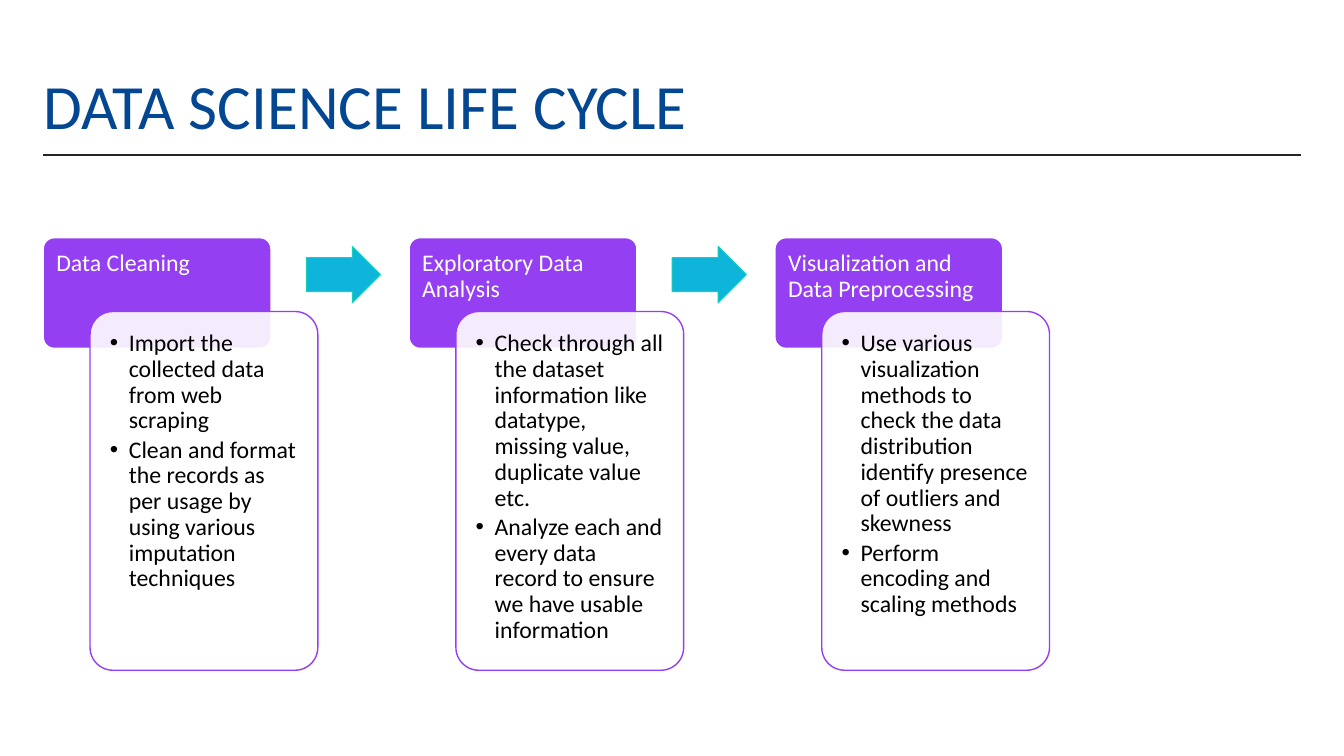
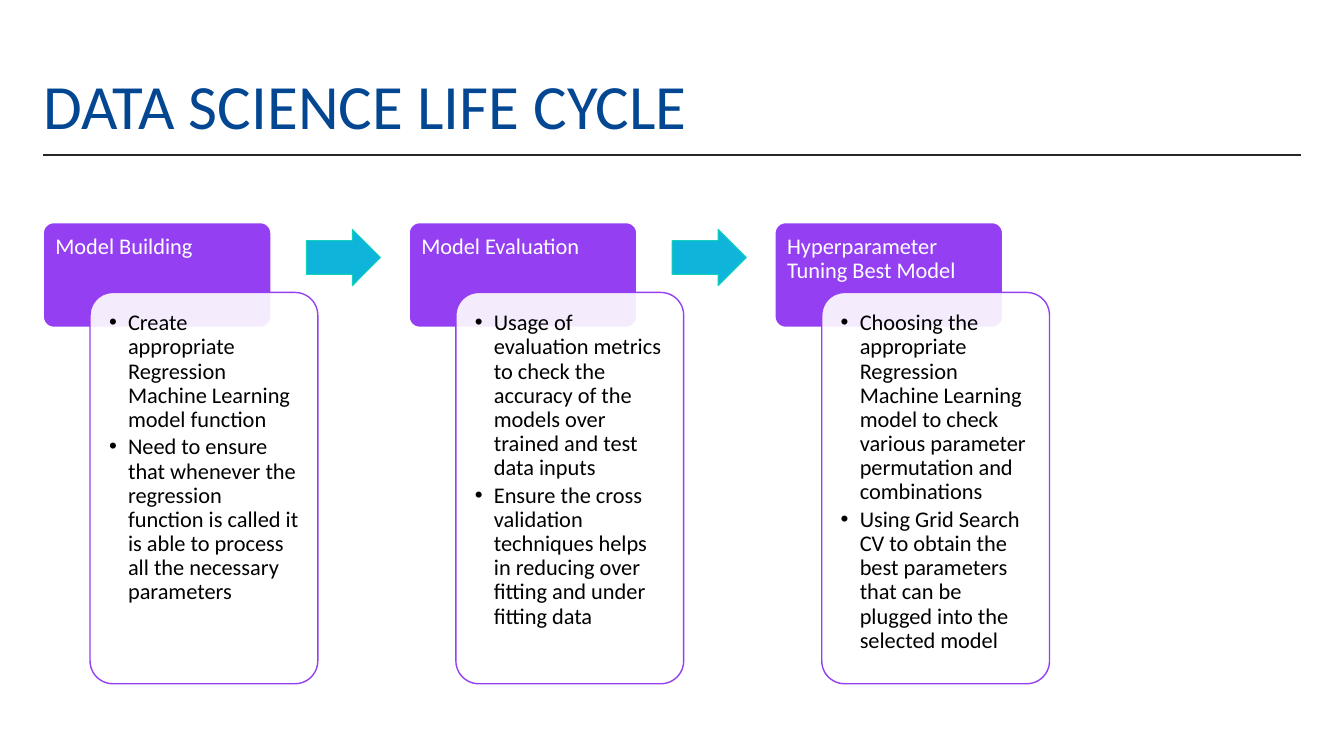
from lxml import etree
from pptx import Presentation
from pptx.dml.color import RGBColor
from pptx.enum.shapes import MSO_CONNECTOR, MSO_SHAPE
from pptx.enum.text import MSO_ANCHOR, PP_ALIGN
from pptx.oxml.ns import qn
from pptx.util import Cm, Pt

ROUNDED, ARROW = MSO_SHAPE.ROUNDED_RECTANGLE, MSO_SHAPE.RIGHT_ARROW
STRAIGHT = MSO_CONNECTOR.STRAIGHT
TOP, BOTTOM = MSO_ANCHOR.TOP, MSO_ANCHOR.BOTTOM
LEFT = PP_ALIGN.LEFT

WHITE = RGBColor(0xFF, 0xFF, 0xFF)
BLACK = RGBColor(0x00, 0x00, 0x00)
NAVY = RGBColor(0x03, 0x47, 0x93)
CHARCOAL = RGBColor(0x26, 0x26, 0x26)
PURPLE = RGBColor(0x95, 0x3F, 0xF3)
CYAN = RGBColor(0x0F, 0xB4, 0xDB)
TEAL = RGBColor(0x15, 0xD1, 0xBB)

FONT = "Calibri"
TITLE = "DATA SCIENCE LIFE CYCLE"

# Layout in centimetres
SLIDE_WIDTH, SLIDE_HEIGHT = 33.87, 19.05
MARGIN = 1.09
CONTENT_WIDTH = SLIDE_WIDTH - 2 * MARGIN
RULE_TOP = 3.91
STEP_PITCH, STEP_WIDTH = 9.22, 5.74
CARD_SHIFT, ARROW_SHIFT = 1.18, 6.63
ARROW_WIDTH, ARROW_HEIGHT = 1.87, 1.42
BULLET_INDENT = 0.48

SLIDES = [
    {
        "top": 5.99, "header_height": 2.79, "card_height": 9.04,
        "size": 17, "inset": 0.33,
        "steps": [
            ("Data Cleaning", [
                "Import the collected data from web scraping",
                "Clean and format the records as per usage by using various "
                "imputation techniques"]),
            ("Exploratory Data Analysis", [
                "Check through all the dataset information like datatype, "
                "missing value, duplicate value etc.",
                "Analyze each and every data record to ensure we have usable "
                "information"]),
            ("Visualization and Data Preprocessing", [
                "Use various visualization methods to check the data "
                "distribution identify presence of outliers and skewness",
                "Perform encoding and scaling methods"]),
        ],
    },
    {
        "top": 5.61, "header_height": 2.64, "card_height": 9.86,
        "size": 16, "inset": 0.31,
        "steps": [
            ("Model Building", [
                "Create appropriate Regression Machine Learning model function",
                "Need to ensure that whenever the regression function is called "
                "it is able to process all the necessary parameters"]),
            ("Model Evaluation", [
                "Usage of evaluation metrics to check the accuracy of the models "
                "over trained and test data inputs",
                "Ensure the cross validation techniques helps in reducing over "
                "fitting and under fitting data"]),
            ("Hyperparameter Tuning Best Model", [
                "Choosing the appropriate Regression Machine Learning model to "
                "check various parameter permutation and combinations",
                "Using Grid Search CV to obtain the best parameters that can be "
                "plugged into the selected model"]),
        ],
    },
]


class Deck:
    """Holds the shared style and the slide being built."""

    def __init__(self):
        self.presentation = Presentation()
        self.presentation.slide_width = Cm(SLIDE_WIDTH)
        self.presentation.slide_height = Cm(SLIDE_HEIGHT)
        self.slide = None

    def add_slide(self):
        layout = self.presentation.slide_layouts[6]
        self.slide = self.presentation.slides.add_slide(layout)
        self.title(TITLE)
        self.rule()

    def fill_text(self, shape, texts, size, color, insets, anchor=TOP, bulleted=False):
        frame = shape.text_frame
        left, top, right, bottom = (Cm(inset) for inset in insets)
        frame_format = {
            "word_wrap": True, "vertical_anchor": anchor,
            "margin_left": left, "margin_top": top,
            "margin_right": right, "margin_bottom": bottom,
        }
        for name, value in frame_format.items():
            setattr(frame, name, value)
        font_format = {"name": FONT, "size": Pt(size)}
        for index, text in enumerate(texts):
            paragraph = frame.add_paragraph() if index else frame.paragraphs[0]
            paragraph.alignment = LEFT
            paragraph.line_spacing = 0.9
            run = paragraph.add_run()
            run.text = text
            for name, value in font_format.items():
                setattr(run.font, name, value)
            run.font.color.rgb = color
            if bulleted:
                paragraph.space_after = Pt(size * 0.15)
                self.bullet(paragraph)

    def bullet(self, paragraph):
        properties = paragraph._p.get_or_add_pPr()
        properties.set("marL", str(Cm(BULLET_INDENT)))
        properties.set("indent", str(-Cm(BULLET_INDENT)))
        etree.SubElement(properties, qn("a:buFont")).set("typeface", "Arial")
        etree.SubElement(properties, qn("a:buChar")).set("char", "•")

    def title(self, text):
        box = self.slide.shapes.add_textbox(
            Cm(MARGIN), Cm(0.94), Cm(CONTENT_WIDTH), Cm(2.79))
        self.fill_text(box, [text], 45, NAVY, (0, 0.13, 0, 0.13), BOTTOM)

    def rule(self):
        line = self.slide.shapes.add_connector(
            STRAIGHT, Cm(MARGIN), Cm(RULE_TOP),
            Cm(MARGIN + CONTENT_WIDTH), Cm(RULE_TOP))
        line.line.color.rgb = CHARCOAL
        line.line.width = Pt(1)
        etree.SubElement(line._element.spPr, qn("a:effectLst"))

    def shape(self, kind, bounds, fill, outline, adjustments, line_width=1):
        shape = self.slide.shapes.add_shape(kind, *(Cm(value) for value in bounds))
        shape.shadow.inherit = False
        shape.fill.solid()
        shape.fill.fore_color.rgb = fill
        shape.line.color.rgb = outline
        shape.line.width = Pt(line_width)
        for index, value in enumerate(adjustments):
            shape.adjustments[index] = value
        return shape

    def header(self, bounds, text, size, inset):
        header = self.shape(ROUNDED, bounds, PURPLE, WHITE, [0.1])
        # The rounded corner already insets the text a little
        self.fill_text(header, [text], size, WHITE, [inset - 0.08] * 4)

    def card(self, bounds, texts, size, inset):
        card = self.shape(ROUNDED, bounds, WHITE, PURPLE, [0.1])
        color = card._element.spPr.find(qn("a:solidFill"))[0]
        etree.SubElement(color, qn("a:alpha")).set("val", "90000")
        self.fill_text(card, texts, size, BLACK, [inset] * 4, bulleted=True)

    def arrow(self, left, middle):
        bounds = (left, middle - ARROW_HEIGHT / 2, ARROW_WIDTH, ARROW_HEIGHT)
        self.shape(ARROW, bounds, CYAN, TEAL, [0.6, 0.5], 0.75)

    def process(self, top, header_height, card_height, size, inset, steps):
        # The card covers the lowest third of its header
        band = header_height * 2 / 3
        for index, (heading, points) in enumerate(steps):
            left = MARGIN + index * STEP_PITCH
            self.header((left, top, STEP_WIDTH, header_height), heading, size, inset)
            self.card((left + CARD_SHIFT, top + band, STEP_WIDTH, card_height),
                      points, size, inset)
            if index < len(steps) - 1:
                self.arrow(left + ARROW_SHIFT, top + band / 2)


def main():
    deck = Deck()
    for content in SLIDES:
        deck.add_slide()
        deck.process(**content)
    deck.presentation.save("out.pptx")


if __name__ == "__main__":
    main()
